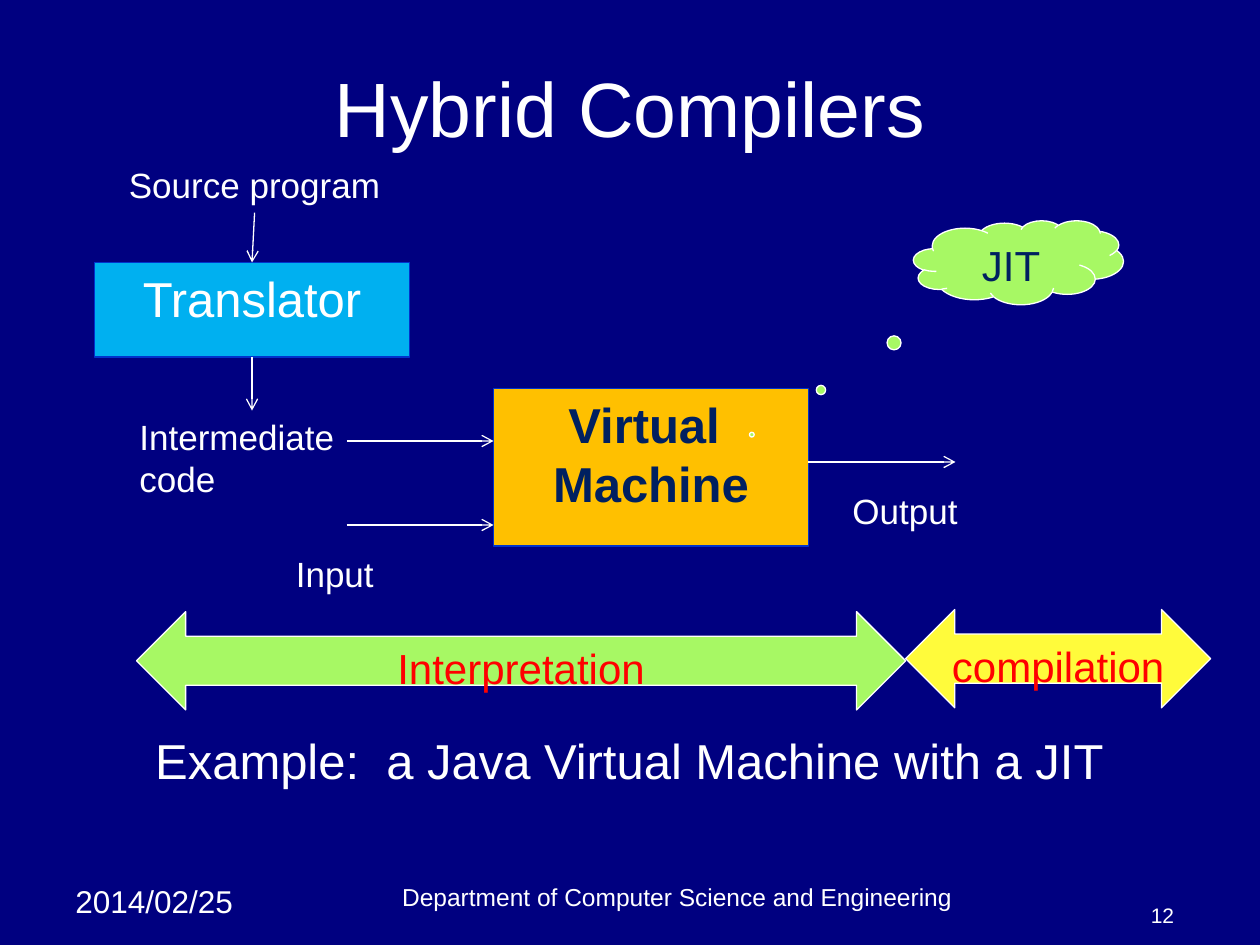
"""Build the Hybrid Compilers slide on a grid of twelfths of an inch."""
import pptx
import pptx.dml.color
import pptx.enum.shapes
import pptx.enum.text
import pptx.oxml.ns
import pptx.util
from lxml import etree

RGBColor = pptx.dml.color.RGBColor
NAVY = RGBColor(0x00, 0x00, 0x80)
WHITE = RGBColor(0xFF, 0xFF, 0xFF)
BLUE = RGBColor(0x00, 0xB0, 0xF0)
EDGE_BLUE = RGBColor(0x00, 0x33, 0xCC)
INK = RGBColor(0x00, 0x20, 0x60)
ORANGE = RGBColor(0xFF, 0xC0, 0x00)
GREEN = RGBColor(0xA7, 0xF8, 0x64)
YELLOW = RGBColor(0xFF, 0xFB, 0x3B)
RED = RGBColor(0xFF, 0x00, 0x00)

Shape = pptx.enum.shapes.MSO_SHAPE
Anchor = pptx.enum.text.MSO_ANCHOR
Align = pptx.enum.text.PP_ALIGN
Fit = pptx.enum.text.MSO_AUTO_SIZE
TOP, BOTTOM = 0, 2


def grid(*cells):
    """Turn counts of grid cells into lengths."""
    return [pptx.util.Inches(cell / 12) for cell in cells]


def write(frame, text, size, color=WHITE, align=Align.LEFT, anchor=Anchor.TOP, bold=False):
    """Fill a text frame with evenly formatted paragraphs."""
    frame.text = text
    frame.vertical_anchor = anchor
    for paragraph in frame.paragraphs:
        paragraph.alignment = align
        font = paragraph.font
        font.name, font.size, font.bold = "Arial", pptx.util.Pt(size), bold
        font.color.rgb = color


def add_label(page, text, cells, size=20, wrap=False):
    """Add a text box that grows with its text."""
    box = page.shapes.add_textbox(*grid(*cells))
    write(box.text_frame, text, size)
    box.text_frame.word_wrap = wrap
    box.text_frame.auto_size = Fit.SHAPE_TO_FIT_TEXT


def add_footer(page, text, cells, size, align):
    """Add a wrapped, bottom-anchored footer box."""
    box = page.shapes.add_textbox(*grid(*cells))
    box.text_frame.word_wrap = True
    write(box.text_frame, text, size, align=align, anchor=Anchor.BOTTOM)


def add_block(page, kind, text, cells, fill, size=24, color=RED, edge=WHITE, bold=False):
    """Add a filled shape with centred text at its top."""
    block = page.shapes.add_shape(kind, *grid(*cells))
    block.shadow.inherit = False
    block.fill.solid()
    block.fill.fore_color.rgb = fill
    block.line.color.rgb = edge
    block.line.width = pptx.util.Pt(0.75)
    block.text_frame.word_wrap = True
    write(block.text_frame, text, size, color, Align.CENTER, bold=bold)
    return block


def add_arrow(page, start, end, source=None, target=None):
    """Add a thin white arrow, joined to the blocks it leaves and enters."""
    arrow = page.shapes.add_connector(
        pptx.enum.shapes.MSO_CONNECTOR.STRAIGHT, *grid(*start, *end))
    if source is not None:
        arrow.begin_connect(source, BOTTOM)
    if target is not None:
        arrow.end_connect(target, TOP)
    arrow.line.color.rgb = WHITE
    arrow.line.width = pptx.util.Pt(0.75)
    qn = pptx.oxml.ns.qn
    etree.SubElement(arrow.line._get_or_add_ln(), qn("a:tailEnd"), type="arrow")
    etree.SubElement(arrow._element.spPr, qn("a:effectLst"))


def add_title(page, text):
    """Place and format the title placeholder."""
    title = page.shapes.title
    title.left, title.top, title.width, title.height = grid(6, 3.65, 108, 13)
    write(title.text_frame, text, 44, align=Align.CENTER, anchor=Anchor.MIDDLE)


def add_flow(page):
    """Draw the translator, the virtual machine and their inputs and outputs."""
    translator = add_block(page, Shape.RECTANGLE, "Translator", (9, 25, 30, 9),
                           BLUE, 28, WHITE, EDGE_BLUE)
    add_label(page, "Source program", (11.1, 15, 29, 5.25), wrap=True)
    add_arrow(page, (24.25, 20.25), (24, 25), target=translator)
    add_arrow(page, (24, 34), (24, 39.1), source=translator)
    add_label(page, "Intermediate\ncode", (12.1, 39, 21.8, 9.25))
    add_block(page, Shape.RECTANGLE, "Virtual \nMachine", (47, 37, 30, 15),
              ORANGE, 28, INK, EDGE_BLUE, bold=True)
    for left, row in ((33, 42), (33, 50), (77, 44)):
        add_arrow(page, (left, row), (left + 14, row))
    add_label(page, "Input", (27, 52, 9.8, 5.25))
    add_label(page, "Output", (80, 46, 12.4, 5.25))
    cloud = add_block(page, Shape.CLOUD_CALLOUT, "JIT", (87, 21, 20, 8), GREEN, color=INK)
    cloud.adjustments[0], cloud.adjustments[1] = -1.27, 2.05


def add_phases(page):
    """Draw the two phase arrows and the example below them."""
    add_label(page, "Example:  a Java Virtual Machine with a JIT", (13.6, 69, 92.8, 6.85), 28)
    for text, cells, fill in (
        ("Interpretation", (13, 58.25, 73.25, 9.36), GREEN),
        ("compilation", (86.25, 58.05, 29.05, 9.36), YELLOW),
    ):
        add_block(page, Shape.LEFT_RIGHT_ARROW, text, cells, fill)


def main():
    """Build and save the deck."""
    deck = pptx.Presentation()
    deck.slide_width, deck.slide_height = grid(120, 90)
    page = deck.slides.add_slide(deck.slide_layouts[5])
    page.background.fill.solid()
    page.background.fill.fore_color.rgb = NAVY
    add_label(page, "2014/02/25", (6, 83.4, 19, 4.8), 18, wrap=True)
    add_footer(page, "Department of Computer Science and Engineering",
               (24, 83.4, 81, 4), 14, Align.CENTER)
    add_footer(page, "12", (105, 84.95, 8, 4), 12, Align.RIGHT)
    add_title(page, "Hybrid Compilers")
    add_flow(page)
    add_phases(page)
    deck.save("out.pptx")


if __name__ == "__main__":
    main()
